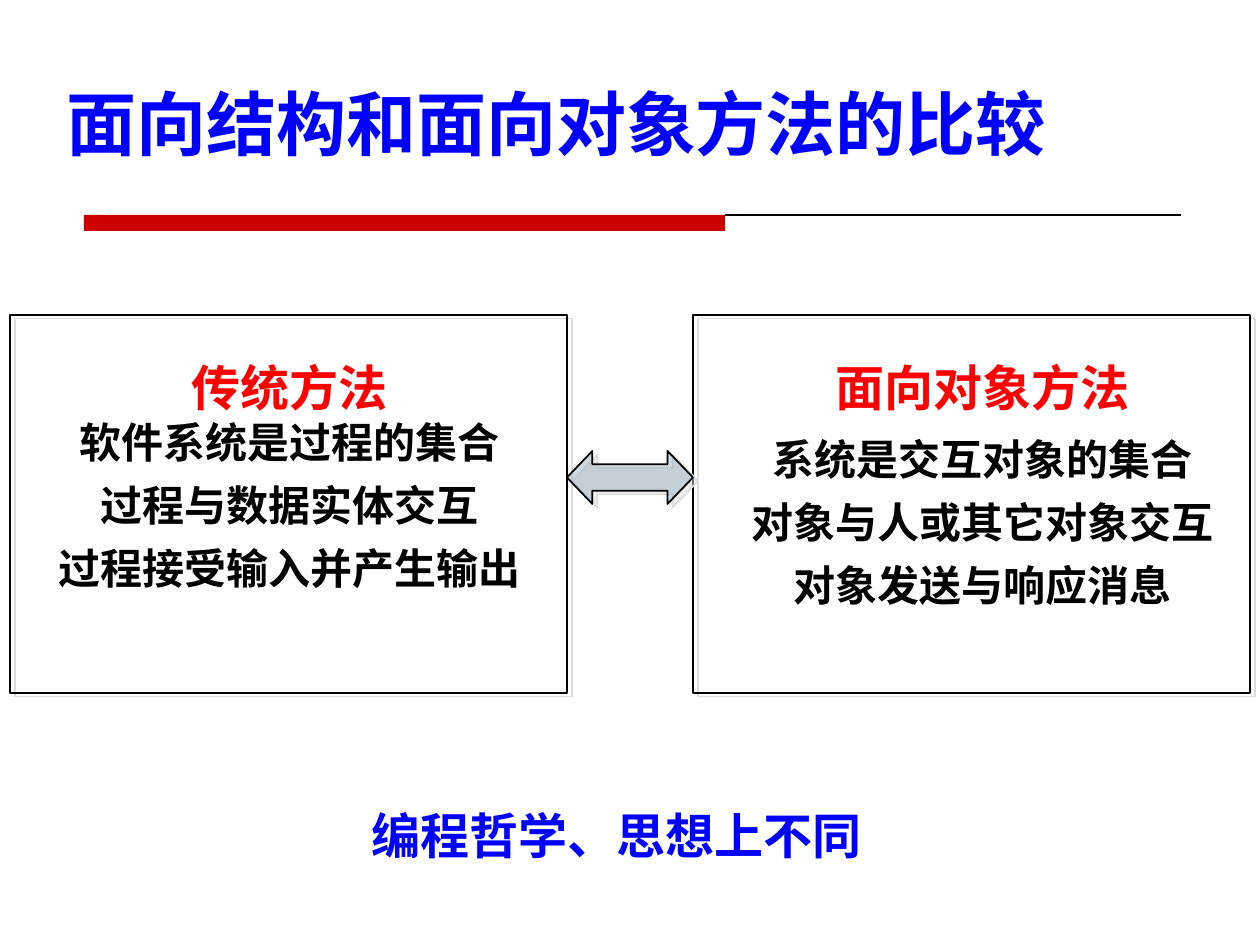
from dataclasses import dataclass

from lxml import etree
from pptx import Presentation
from pptx import util as u
from pptx.dml.color import RGBColor
from pptx.enum import shapes, text
from pptx.oxml import parse_xml
from pptx.oxml.ns import qn

EMU_PER_PX = 914400 / 126
FONT = "Noto Sans CJK SC"
RED, BLUE, BLACK = "FF0000", "0000FF", "000000"
NAMESPACE = "http://schemas.openxmlformats.org/drawingml/2006/main"


@dataclass
class Box:
    left: int
    top: int
    width: int
    height: int

    def emu(self) -> list[int]:
        return [px(n) for n in (self.left, self.top, self.width, self.height)]


@dataclass
class Line:
    """One paragraph; spacing and gap are in points."""
    wording: str
    size: int
    color: str
    spacing: float
    gap: float = 0


@dataclass
class Panel:
    frame: Box
    caption: Box
    heading: str
    points: list[str]
    first_gap: float


def px(length: int) -> int:
    return round(length * EMU_PER_PX)


def rgb(color: str) -> RGBColor:
    return RGBColor.from_string(color)


def write(text_frame, lines: list[Line], align) -> None:
    text_frame.text = "\n".join(line.wording for line in lines)
    for line, paragraph in zip(lines, text_frame.paragraphs):
        paragraph.alignment = align
        paragraph.line_spacing = u.Pt(line.spacing)
        paragraph.space_before = u.Pt(line.gap)
        for run in paragraph.runs:
            font = run.font
            font.name, font.size, font.bold = FONT, u.Pt(line.size), True
            font.color.rgb = rgb(line.color)
            east_asian = etree.SubElement(font._element, qn("a:ea"))
            east_asian.set("typeface", FONT)


def add_text(slide, box: Box, lines: list[Line], wrap: bool = True) -> None:
    text_frame = slide.shapes.add_textbox(*box.emu()).text_frame
    text_frame.word_wrap = wrap
    write(text_frame, lines, text.PP_ALIGN.CENTER)


def add_outlined(slide, kind, box: Box):
    """Add an unfilled shape with a black outline and a light shadow."""
    shape = slide.shapes.add_shape(kind, *box.emu())
    shape.fill.background()
    shape.line.color.rgb = rgb(BLACK)
    shape.line.width = u.Pt(1)
    shape._element.spPr.append(parse_xml(
        f'<a:effectLst xmlns:a="{NAMESPACE}">'
        f'<a:outerShdw dist="{u.Pt(3.6)}" dir="{34 * 60000}" algn="ctr" rotWithShape="0">'
        '<a:srgbClr val="DDDDDD"/></a:outerShdw></a:effectLst>'))
    return shape


def add_panel(slide, panel: Panel) -> None:
    add_outlined(slide, shapes.MSO_SHAPE.RECTANGLE, panel.frame)
    lines = [Line(panel.heading, 28, RED, 36)]
    for index, point in enumerate(panel.points):
        gap = 7.2 if index else panel.first_gap
        lines.append(Line(point, 24, BLACK, 28.8, gap))
    add_text(slide, panel.caption, lines)


def add_rule(slide) -> None:
    """Draw the red bar and the thin line that carries on from it."""
    bar_box = Box(84, 215, 641, 16)
    bar = slide.shapes.add_shape(shapes.MSO_SHAPE.RECTANGLE, *bar_box.emu())
    bar.shadow.inherit = False
    bar.fill.solid()
    bar.fill.fore_color.rgb = rgb("CC0000")
    bar.line.fill.background()
    start = bar_box.left + bar_box.width
    line = slide.shapes.add_connector(
        shapes.MSO_CONNECTOR.STRAIGHT, px(start), px(215), px(1181), px(215))
    line.line.color.rgb = rgb(BLACK)
    line.line.width = u.Pt(0.75)
    etree.SubElement(line._element.spPr, qn("a:effectLst"))


def add_arrow(slide) -> None:
    arrow = add_outlined(slide, shapes.MSO_SHAPE.LEFT_RIGHT_ARROW, Box(567, 451, 126, 53))
    arrow.adjustments[0] = 0.5
    arrow.adjustments[1] = 0.48
    arrow.fill.solid()
    arrow.fill.fore_color.rgb = rgb("A3B2C1")
    color = arrow._element.spPr.find(qn("a:solidFill"))[0]
    etree.SubElement(color, qn("a:alpha")).set("val", "50000")


def set_title(slide, box: Box, line: Line) -> None:
    title = slide.shapes.title
    title.left, title.top, title.width, title.height = box.emu()
    text_frame = title.text_frame
    text_frame.auto_size = text.MSO_AUTO_SIZE.NONE
    text_frame.vertical_anchor = text.MSO_ANCHOR.MIDDLE
    write(text_frame, [line], text.PP_ALIGN.LEFT)


PANELS = [
    Panel(Box(10, 315, 557, 378), Box(-10, 347, 599, 256), "传统方法",
          ["软件系统是过程的集合", "过程与数据实体交互", "过程接受输入并产生输出"], 0),
    Panel(Box(693, 315, 557, 378), Box(683, 347, 599, 272), "面向对象方法",
          ["系统是交互对象的集合", "对象与人或其它对象交互", "对象发送与响应消息"], 9.6),
]


def main() -> None:
    presentation = Presentation()
    presentation.slide_width, presentation.slide_height = px(1260), px(945)
    slide = presentation.slides.add_slide(presentation.slide_layouts[5])

    # Title and the rule below it
    set_title(slide, Box(54, 57, 1166, 116),
              Line("面向结构和面向对象方法的比较", 40, BLUE, 56))
    add_rule(slide)

    # The two methods, with the arrow between them
    for panel in PANELS:
        add_panel(slide, panel)
    add_arrow(slide)

    # Conclusion
    add_text(slide, Box(355, 795, 523, 72),
             [Line("编程哲学、思想上不同", 28, BLUE, 36)], wrap=False)

    presentation.save("out.pptx")


if __name__ == "__main__":
    main()
